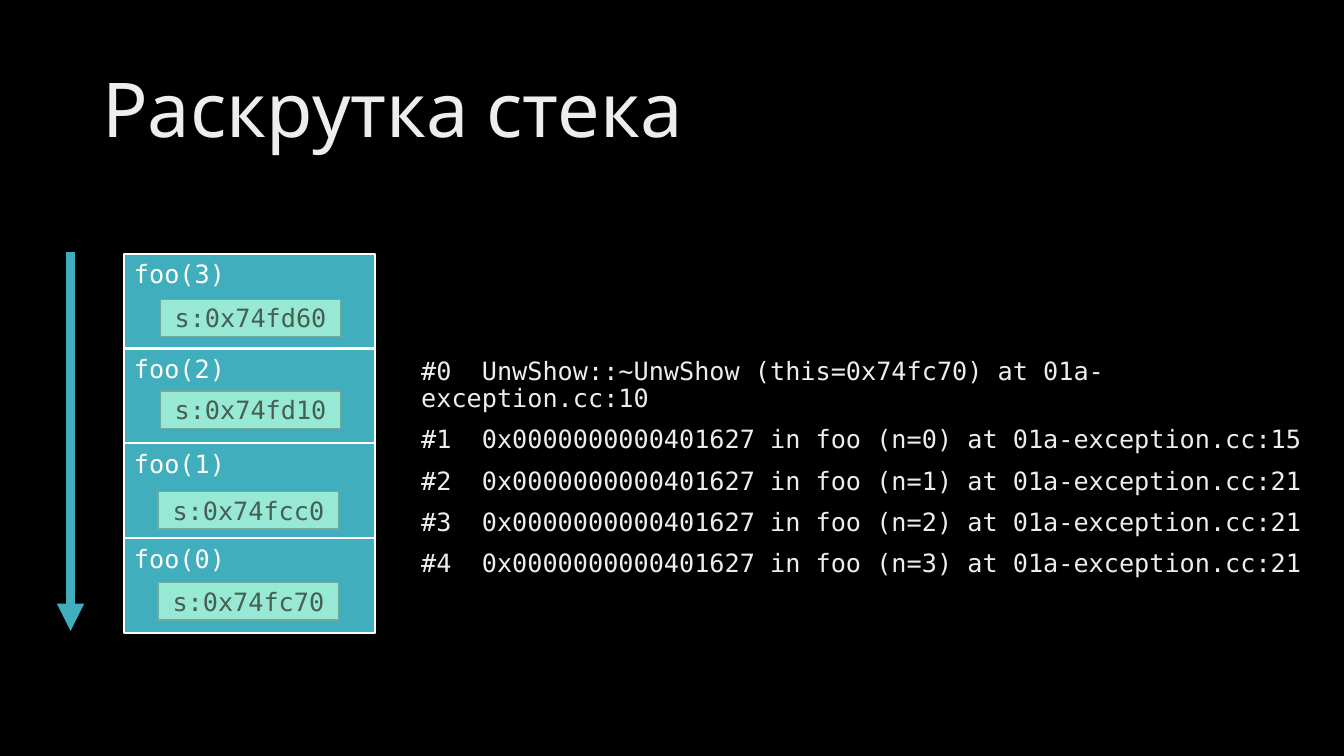
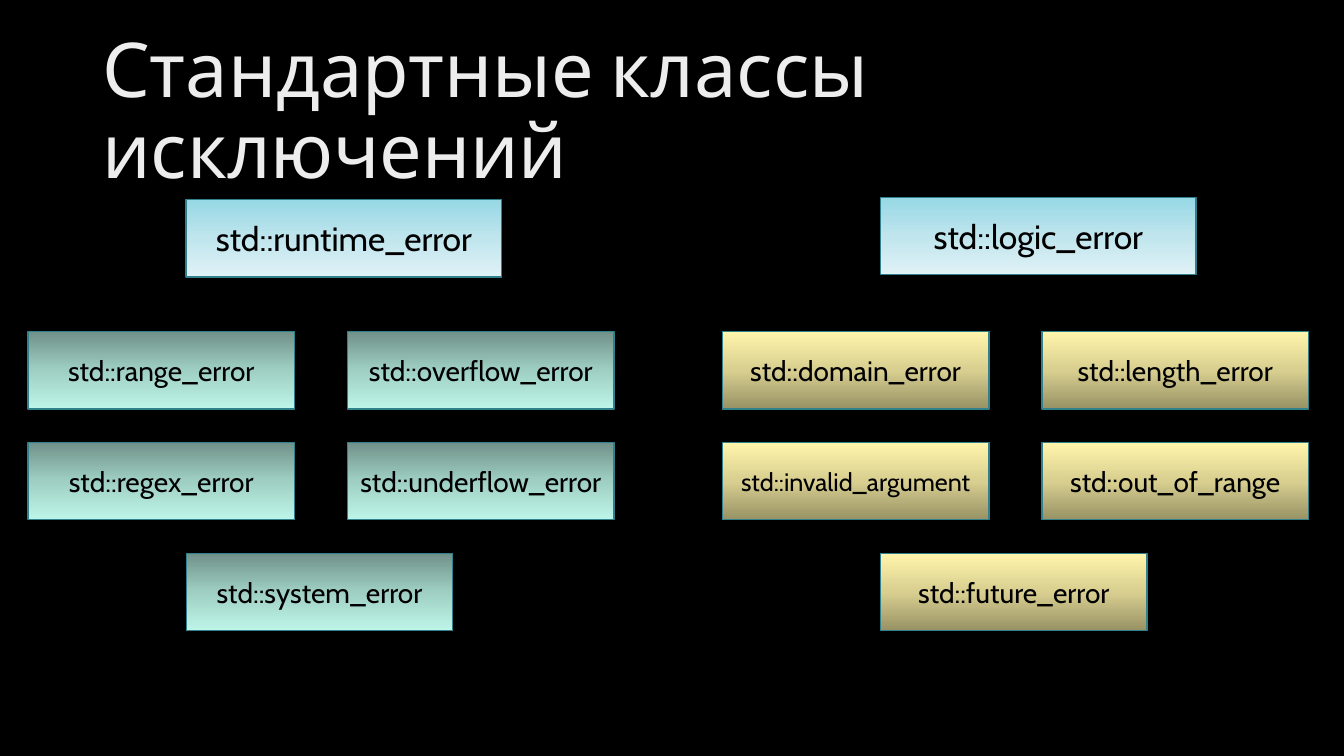
from dataclasses import dataclass

from lxml.etree import SubElement
from pptx import Presentation
from pptx.dml.color import RGBColor as Color
from pptx.enum.shapes import MSO_CONNECTOR as Connector
from pptx.enum.shapes import MSO_SHAPE as Preset
from pptx.enum.text import MSO_ANCHOR as Anchor
from pptx.enum.text import PP_ALIGN as Align
from pptx.oxml.ns import qn
from pptx.util import Pt


@dataclass(frozen=True)
class Theme:
    # Colours
    background: str = "000000"
    text: str = "EDEDED"
    white: str = "FFFFFF"
    black: str = "000000"
    frame: str = "41AEBD"
    slot: str = "97E9D5"
    slot_line: str = "70AC9E"
    slot_text: str = "455F51"
    class_line: str = "30818C"
    # Gradients, from top to bottom
    base_fill: tuple = ("96D8E5", "C0E5ED", "E0F2F6")
    runtime_fill: tuple = ("709189", "9FCFC3", "BDF5E8")
    logic_fill: tuple = ("FFF5AC", "D8CF90", "989265")
    # Fonts and sizes
    font: str = "Cabin"
    code_font: str = "DejaVu Sans Mono"
    title_size: int = 54
    base_size: int = 24
    class_size: int = 20
    code_size: int = 18


THEME = Theme()

# Slide 1: frame label, variable, left and top of the variable
STACK = [
    ("foo(3)", "s:0x74fd60", 114.5, 213.8),
    ("foo(2)", "s:0x74fd10", 114.5, 279.4),
    ("foo(1)", "s:0x74fсс0", 113, 351.2),
    ("foo(0)", "s:0x74fс70", 113, 416.2),
]
BACKTRACE = ["#0  UnwShow::~UnwShow (this=0x74fc70) at 01a-exception.cc:10"] + [
    f"#{level}  0x0000000000401627 in foo (n={level - 1}) at 01a-exception.cc:{line}"
    for level, line in enumerate((15, 21, 21, 21), start=1)
]

# Slide 2: base class, its top, left of the group, fill, derived classes by row
HIERARCHIES = [
    ("std::runtime_error", 142.6, 20, THEME.runtime_fill, [
        ["std::range_error", "std::overflow_error"],
        ["std::regex_error", "std::underflow_error"],
        ["std::system_error"],
    ]),
    ("std::logic_error", 141.1, 516, THEME.logic_fill, [
        ["std::domain_error", "std::length_error"],
        ["std::invalid_argument", "std::out_of_range"],
        ["std::future_error"],
    ]),
]
SMALLER_SIZES = {"std::invalid_argument": 18}


def set_attributes(target, values):
    for name, value in values.items():
        setattr(target, name, value)


def points(*lengths):
    return [Pt(length) for length in lengths]


def write_text(shape, lines, font, size, color, anchor, **paragraph_format):
    frame = shape.text_frame
    set_attributes(frame, {"word_wrap": True, "vertical_anchor": anchor})
    for index, line in enumerate(lines):
        paragraph = frame.add_paragraph() if index else frame.paragraphs[0]
        paragraph.text = line
        set_attributes(paragraph, paragraph_format)
        if index == 0:
            paragraph.space_before = Pt(0)
        set_attributes(paragraph.font, {"name": font, "size": Pt(size)})
        paragraph.font.color.rgb = Color.from_string(color)


def fill_shape(shape, colors):
    """Fill with one colour, or with a vertical gradient of several."""
    if isinstance(colors, str):
        shape.fill.solid()
        shape.fill.fore_color.rgb = Color.from_string(colors)
        return
    shape.fill.gradient()
    shape.fill.gradient_angle = 270
    stops = shape._element.spPr.find(f"{qn('a:gradFill')}/{qn('a:gsLst')}")
    for stop in list(stops):
        stops.remove(stop)
    for index, color in enumerate(colors):
        position = str(100000 * index // (len(colors) - 1))
        stop = SubElement(stops, qn("a:gs"), pos=position)
        SubElement(stop, qn("a:srgbClr"), val=color)


def add_box(slide, bounds, fill, line, line_width):
    shape = slide.shapes.add_shape(Preset.RECTANGLE, *points(*bounds))
    shape.shadow.inherit = False
    fill_shape(shape, fill)
    shape.line.color.rgb = Color.from_string(line)
    shape.line.width = Pt(line_width)
    return shape


def add_arrow(slide, start, end, color, width):
    arrow = slide.shapes.add_connector(Connector.STRAIGHT, *points(*start, *end))
    arrow.line.color.rgb = Color.from_string(color)
    arrow.line.width = Pt(width)
    properties = arrow._element.spPr
    SubElement(properties.find(qn("a:ln")), qn("a:tailEnd"), type="triangle")
    SubElement(properties, qn("a:effectLst"))


def add_titled_slide(presentation, title):
    slide = presentation.slides.add_slide(presentation.slide_layouts[6])
    box = slide.shapes.add_textbox(*points(66, 28.8, 828, 104.4))
    write_text(box, [title], THEME.font, THEME.title_size, THEME.text,
               Anchor.MIDDLE, line_spacing=0.9)
    return slide


def add_stack_frame(slide, top, height, label, variable, slot_left, slot_top):
    frame = add_box(slide, (88.6, top, 179.3, height), THEME.frame, THEME.white, 1.5)
    write_text(frame, [label], THEME.code_font, THEME.code_size, THEME.white,
               Anchor.TOP, alignment=Align.LEFT)
    slot = add_box(slide, (slot_left, slot_top, 128.9, 26.6),
                   THEME.slot, THEME.slot_line, 1)
    write_text(slot, [variable], THEME.code_font, THEME.code_size,
               THEME.slot_text, Anchor.MIDDLE, alignment=Align.CENTER)


def add_class(slide, name, left, top, width, fill, size):
    box = add_box(slide, (left, top, width, 55.2), fill, THEME.class_line, 1)
    write_text(box, [name], THEME.font, size, THEME.black,
               Anchor.MIDDLE, alignment=Align.CENTER)


def add_hierarchy(slide, base, base_top, left, fill, rows):
    center_offset, column_step, row_step = 113, 228.3, 79.2
    add_class(slide, base, left + center_offset, base_top, 225.4,
              THEME.base_fill, THEME.base_size)
    for row, names in enumerate(rows):
        # A class alone in its row starts under the base class
        row_left = left + (center_offset if len(names) == 1 else 0)
        for column, name in enumerate(names):
            add_class(slide, name, row_left + column * column_step,
                      236.9 + row * row_step, 190.4, fill,
                      SMALLER_SIZES.get(name, THEME.class_size))


def build_stack_slide(presentation):
    slide = add_titled_slide(presentation, "Раскрутка стека")
    frame_height = 67.7
    for index, entry in enumerate(STACK):
        add_stack_frame(slide, 181.3 + index * frame_height, frame_height, *entry)
    add_arrow(slide, (50.4, 180), (50.4, 450.7), THEME.frame, 6.5)
    # Debugger backtrace
    backtrace = slide.shapes.add_textbox(*points(293.8, 252.7, 648, 160))
    write_text(backtrace, BACKTRACE, THEME.code_font, THEME.code_size, THEME.text,
               Anchor.TOP, line_spacing=0.9, space_before=Pt(10))


def build_classes_slide(presentation):
    slide = add_titled_slide(presentation, "Стандартные классы исключений")
    for hierarchy in HIERARCHIES:
        add_hierarchy(slide, *hierarchy)


def main():
    presentation = Presentation()
    set_attributes(presentation, {"slide_width": Pt(960), "slide_height": Pt(540)})
    # Shared background
    background = presentation.slide_master.background
    fill_shape(background, THEME.background)
    build_stack_slide(presentation)
    build_classes_slide(presentation)
    presentation.save("out.pptx")


if __name__ == "__main__":
    main()
